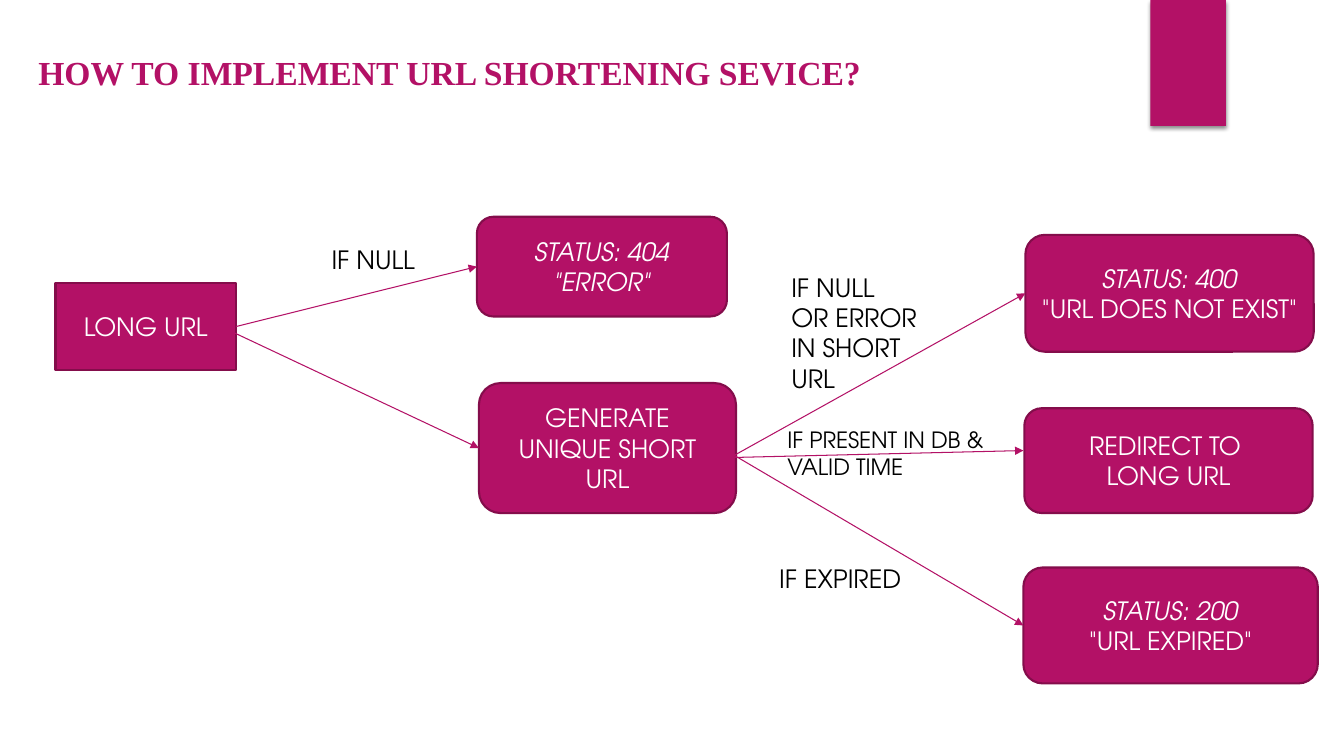
"""Builds the flow chart slide on how to implement a URL shortening service."""
from lxml import etree
from pptx import Presentation
from pptx.dml.color import RGBColor
from pptx.enum import shapes, text
from pptx.oxml import ns, parse_xml
from pptx.util import Inches, Pt

PINK, EDGE, WHITE, BLACK = "B31166", "840D4B", "FFFFFF", "000000"
SANS = "TeX Gyre Adventor"
RECT, ROUND = shapes.MSO_SHAPE.RECTANGLE, shapes.MSO_SHAPE.ROUNDED_RECTANGLE
HARD = chr(160)


def rgb(code):
    return RGBColor.from_string(code)


def write(frame, lines, size=18, font=SANS, color=BLACK, bold=False,
          slant=(), align=text.PP_ALIGN.LEFT, anchor=text.MSO_ANCHOR.TOP):
    frame.word_wrap = True
    frame.vertical_anchor = anchor
    for i, line in enumerate(lines):
        para = frame.paragraphs[0] if i == 0 else frame.add_paragraph()
        para.alignment = align
        run = para.add_run()
        run.text = line
        run.font.size, run.font.name = Pt(size), font
        run.font.bold, run.font.italic = bold, i in slant
        run.font.color.rgb = rgb(color)


deck = Presentation()
deck.slide_width, deck.slide_height = Inches(13.33), Inches(7.5)
slide = deck.slides.add_slide(deck.slide_layouts[5])
items = slide.shapes

title = items.title
title.left, title.top = Inches(0.28), Inches(0.46)
title.width, title.height = Inches(8.48), Inches(0.5)
write(title.text_frame, ["HOW TO IMPLEMENT URL SHORTENING SEVICE?"],
      size=24, font="Times New Roman", color=PINK, bold=True)
title.text_frame.auto_size = text.MSO_AUTO_SIZE.NONE

tab = items.add_shape(RECT, Inches(11.41), 0, Inches(0.75), Inches(1.25))
tab.fill.solid()
tab.fill.fore_color.rgb = rgb(PINK)
tab.line.fill.background()
tab.shadow.inherit = False
tab._element.spPr.find(ns.qn("a:effectLst")).append(parse_xml(
    f'<a:outerShdw {ns.nsdecls("a")} blurRad="38100" dist="25400" dir="5400000" rotWithShape="0">'
    '<a:srgbClr val="000000"><a:alpha val="45000"/></a:srgbClr></a:outerShdw>'))

boxes = {}
for key, kind, x, y, w, h, lines, slant in [
    ("long", RECT, 0.55, 2.81, 1.79, 0.86, ["LONG URL"], ()),
    ("short", ROUND, 4.75, 3.8, 2.55, 1.29, [f"GENERATE UNIQUE{HARD}SHORT URL"], ()),
    ("error", ROUND, 4.73, 2.15, 2.48, 0.99, ["STATUS: 404", '"ERROR"'], (0, 1)),
    ("missing", ROUND, 10.17, 2.33, 2.86, 1.16, ["STATUS: 400", '"URL DOES NOT EXIST"'], (0,)),
    ("target", ROUND, 10.16, 4.05, 2.86, 1.04, ["REDIRECT TO ", "LONG URL"], ()),
    ("expired", ROUND, 10.15, 5.63, 2.92, 1.15, ["STATUS: 200", '"URL EXPIRED"'], (0,)),
]:
    box = items.add_shape(kind, Inches(x), Inches(y), Inches(w), Inches(h))
    box.shadow.inherit = False
    box.fill.solid()
    box.fill.fore_color.rgb = rgb(PINK)
    box.line.color.rgb = rgb(EDGE)
    box.line.width = Pt(1.5)
    write(box.text_frame, lines, color=WHITE, slant=slant,
          align=text.PP_ALIGN.CENTER, anchor=text.MSO_ANCHOR.MIDDLE)
    boxes[key] = box

for x1, y1, x2, y2, start, end in [
    (2.37, 3.26, 4.71, 2.62, "long", "error"),
    (2.32, 3.3, 4.71, 4.39, None, "short"),
    (7.26, 4.53, 10.13, 2.86, None, "missing"),
    (7.22, 4.54, 10.15, 4.47, None, None),
    (7.27, 4.51, 10.13, 6.2, None, "expired"),
]:
    arrow = items.add_connector(shapes.MSO_CONNECTOR.STRAIGHT,
                                Inches(x1), Inches(y1), Inches(x2), Inches(y2))
    if start:
        arrow.begin_connect(boxes[start], 3)
    if end:
        arrow.end_connect(boxes[end], 1)
    arrow.line.color.rgb = rgb(PINK)
    arrow.line.width = Pt(0.75)
    etree.SubElement(arrow.line._get_or_add_ln(), ns.qn("a:tailEnd"), type="triangle")
    etree.SubElement(arrow._element.spPr, ns.qn("a:effectLst"))

for x, y, w, h, size, lines in [
    (3.19, 2.37, 1.5, 0.4, 18, ["IF NULL"]),
    (7.75, 2.65, 1.45, 1.31, 18, ["IF NULL", "OR ERROR IN SHORT URL"]),
    (7.71, 4.18, 2.61, 0.64, 16, ["IF PRESENT IN DB & VALID TIME"]),
    (7.63, 5.54, 1.83, 0.4, 18, ["IF EXPIRED"]),
]:
    label = items.add_textbox(Inches(x), Inches(y), Inches(w), Inches(h))
    write(label.text_frame, lines, size=size)

deck.save("out.pptx")
